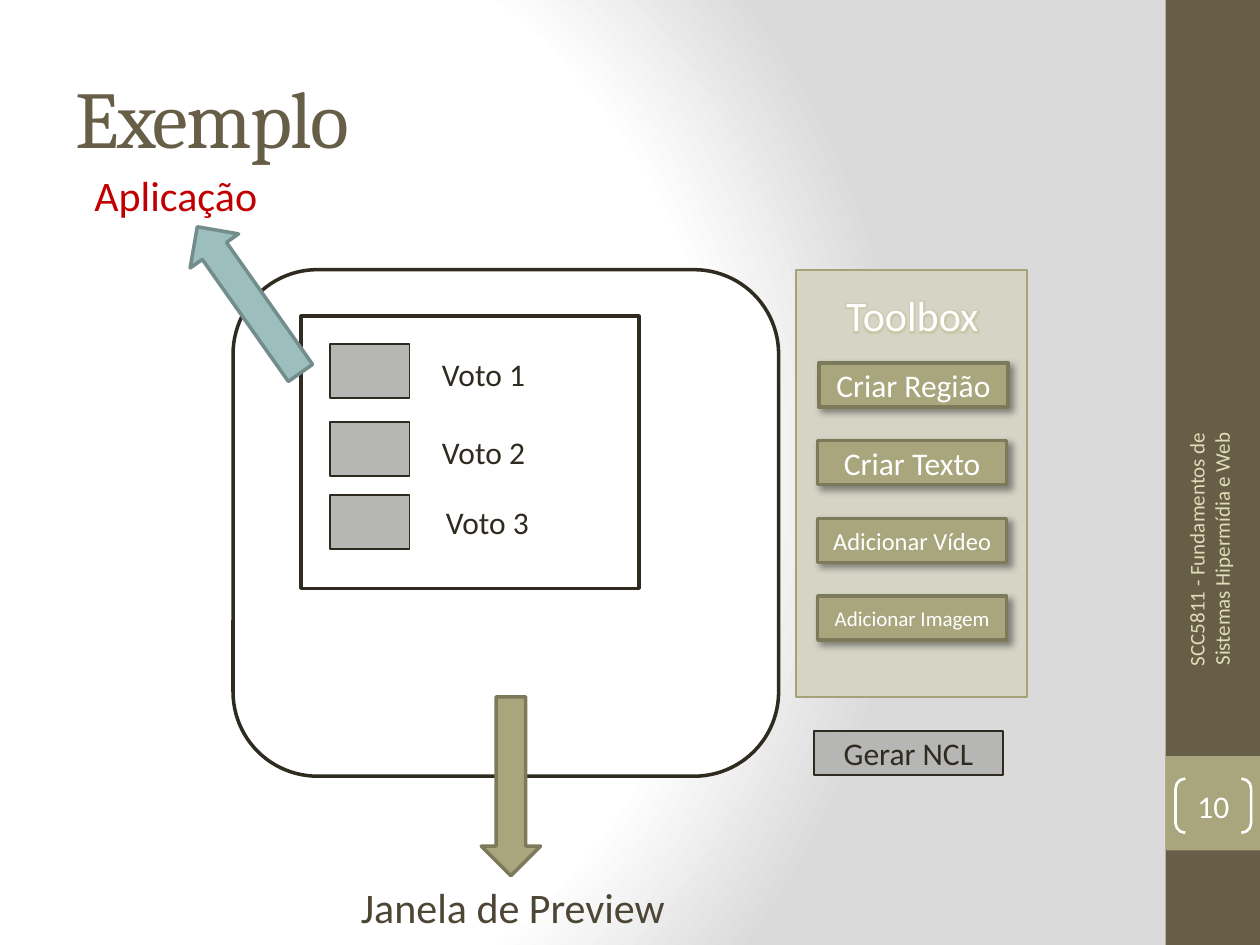
from lxml import etree
from pptx import Presentation
from pptx.dml.color import RGBColor
from pptx.enum.shapes import MSO_SHAPE as Preset
from pptx.enum.text import MSO_ANCHOR as Anchor, PP_ALIGN as Align
from pptx.oxml import parse_xml
from pptx.oxml.ns import nsdecls, qn
from pptx.util import Inches, Pt

COLORS = {
    "brown": "675E47", "olive": "A9A57C", "olive_line": "7D7A5C",
    "panel": "D5D4C5", "panel_line": "A6A278", "dark": "2F2B20",
    "gray": "B6B6B5", "gray_line": "2E2A1F", "teal": "9CBEBD",
    "teal_line": "738D8C", "red": "C00000", "caption": "4D4635",
    "cream": "DFDCB7", "white": "FFFFFF", "glow": "CBC8A9",
}

presentation = Presentation()
presentation.slide_width, presentation.slide_height = Inches(10), Inches(7.5)
slide = presentation.slides.add_slide(presentation.slide_layouts[5])


def add_shape(preset, box, fill=None, line=None, width=1):
    shape = slide.shapes.add_shape(preset, *map(Inches, box))
    shape.shadow.inherit = False
    if fill:
        shape.fill.solid()
        shape.fill.fore_color.rgb = RGBColor.from_string(COLORS[fill])
    else:
        shape.fill.background()
    if line:
        shape.line.color.rgb = RGBColor.from_string(COLORS[line])
        shape.line.width = Pt(width)
    else:
        shape.line.fill.background()
    return shape


def set_text(shape, text, size, color, align=Align.CENTER, anchor=Anchor.MIDDLE, font="Calibri"):
    frame = shape.text_frame
    frame.word_wrap = True
    frame.vertical_anchor = anchor
    paragraph = frame.paragraphs[0]
    paragraph.text = text
    paragraph.alignment = align
    paragraph.font.name = font
    paragraph.font.size = Pt(size)
    paragraph.font.color.rgb = RGBColor.from_string(COLORS[color])
    return paragraph


# Background: radial gradient
slide._element.cSld.insert(0, parse_xml(
    f'<p:bg {nsdecls("p", "a")}><p:bgPr><a:gradFill rotWithShape="1"><a:gsLst>'
    '<a:gs pos="0"><a:srgbClr val="FFFFFF"/></a:gs>'
    '<a:gs pos="75000"><a:srgbClr val="FFFFFF"/></a:gs>'
    '<a:gs pos="100000"><a:srgbClr val="DADADA"/></a:gs></a:gsLst>'
    '<a:path path="circle"><a:fillToRect l="20000" t="50000" r="100000" b="50000"/></a:path>'
    '</a:gradFill><a:effectLst/></p:bgPr></p:bg>'))

# Side band
add_shape(Preset.RECTANGLE, (9.25, 0, 0.75, 7.5), "brown")
add_shape(Preset.RECTANGLE, (9.25, 6, 0.75, 0.75), "olive")

# Title
title = slide.shapes.title
title.left, title.top, title.width, title.height = map(Inches, (0.5, 0.3, 8.33, 1.25))
paragraph = set_text(title, "Exemplo", 46, "brown", Align.LEFT, font="Cambria")
paragraph.runs[0].font._element.set("spc", "-100")

# Preview window, toolbox panel and application window
add_shape(Preset.ROUNDED_RECTANGLE, (1.85, 2.14, 4.33, 4.02), "white", "dark", 2)
add_shape(Preset.RECTANGLE, (6.32, 2.14, 1.83, 3.39), "panel", "panel_line")
add_shape(Preset.RECTANGLE, (2.39, 2.51, 2.68, 2.16), "white", "dark", 2)

# Vote boxes
for top in (2.73, 3.35, 3.93):
    add_shape(Preset.RECTANGLE, (2.62, top, 0.63, 0.43), "gray", "gray_line")

# Arrows to the captions
add_shape(Preset.DOWN_ARROW, (3.82, 5.53, 0.47, 1.42), "olive", "olive_line", 2)
application_arrow = add_shape(Preset.DOWN_ARROW, (1.74, 1.67, 0.47, 1.42), "teal", "teal_line", 2)
application_arrow.rotation = 144.8

# Vote labels and captions
labels = [
    ("Voto 1", (3.41, 2.77, 1.26, 0.4), 18, "dark", Align.LEFT),
    ("Voto 2", (3.41, 3.39, 1.26, 0.4), 18, "dark", Align.LEFT),
    ("Voto 3", (3.44, 3.94, 1.26, 0.4), 18, "dark", Align.LEFT),
    ("Janela de Preview", (1.38, 6.95, 5.38, 0.5), 24, "caption", Align.CENTER),
    ("Aplicação", (0.05, 1.3, 2.69, 0.5), 24, "red", Align.CENTER),
    ("Toolbox", (6.49, 2.25, 1.5, 0.5), 24, "white", Align.CENTER),
]
for text, box, size, color, align in labels:
    label = slide.shapes.add_textbox(*map(Inches, box))
    paragraph = set_text(label, text, size, color, align, Anchor.TOP)

# Glow on the toolbox heading, the last label
run_font = paragraph.runs[0].font
run_font.color.rgb = RGBColor.from_string(COLORS["white"])
effects = etree.SubElement(run_font._element, qn("a:effectLst"))
glow = etree.SubElement(effects, qn("a:glow"), rad=str(Pt(4)))
etree.SubElement(glow, qn("a:srgbClr"), val=COLORS["glow"])

# Toolbox buttons with a soft shadow
buttons = [("Criar Região", 6.5, 18), ("Criar Texto", 6.49, 18),
           ("Adicionar Vídeo", 6.49, 14), ("Adicionar Imagem", 6.49, 12)]
for index, (text, left, size) in enumerate(buttons):
    button = add_shape(Preset.RECTANGLE, (left, 2.88 + 0.617 * index, 1.5, 0.35),
                       "olive", "olive_line", 2)
    set_text(button, text, size, "white")
    effects = button._element.spPr.find(qn("a:effectLst"))
    shadow = etree.SubElement(effects, qn("a:outerShdw"), blurRad=str(Pt(4)),
                              dist=str(Pt(3)), dir="2700000", algn="tl", rotWithShape="0")
    shade = etree.SubElement(shadow, qn("a:srgbClr"), val="000000")
    etree.SubElement(shade, qn("a:alpha"), val="40000")

generate_button = add_shape(Preset.RECTANGLE, (6.46, 5.8, 1.5, 0.35), "gray", "gray_line")
set_text(generate_button, "Gerar NCL", 18, "dark")

# Footer and slide number
footer = slide.shapes.add_textbox(*map(Inches, (8.3, 4.43, 2.59, 0.4)))
footer.rotation = 270
set_text(footer, "SCC5811 - Fundamentos de Sistemas Hipermídia e Web", 12, "cream", Align.RIGHT)

number = add_shape(Preset.DOUBLE_BRACKET, (9.33, 6.18, 0.6, 0.43), None, "white", 1.5)
number.adjustments[0] = 0.18
set_text(number, "10", 18, "white")
frame = number.text_frame
frame.margin_left = frame.margin_right = frame.margin_top = frame.margin_bottom = 0

presentation.save("out.pptx")
